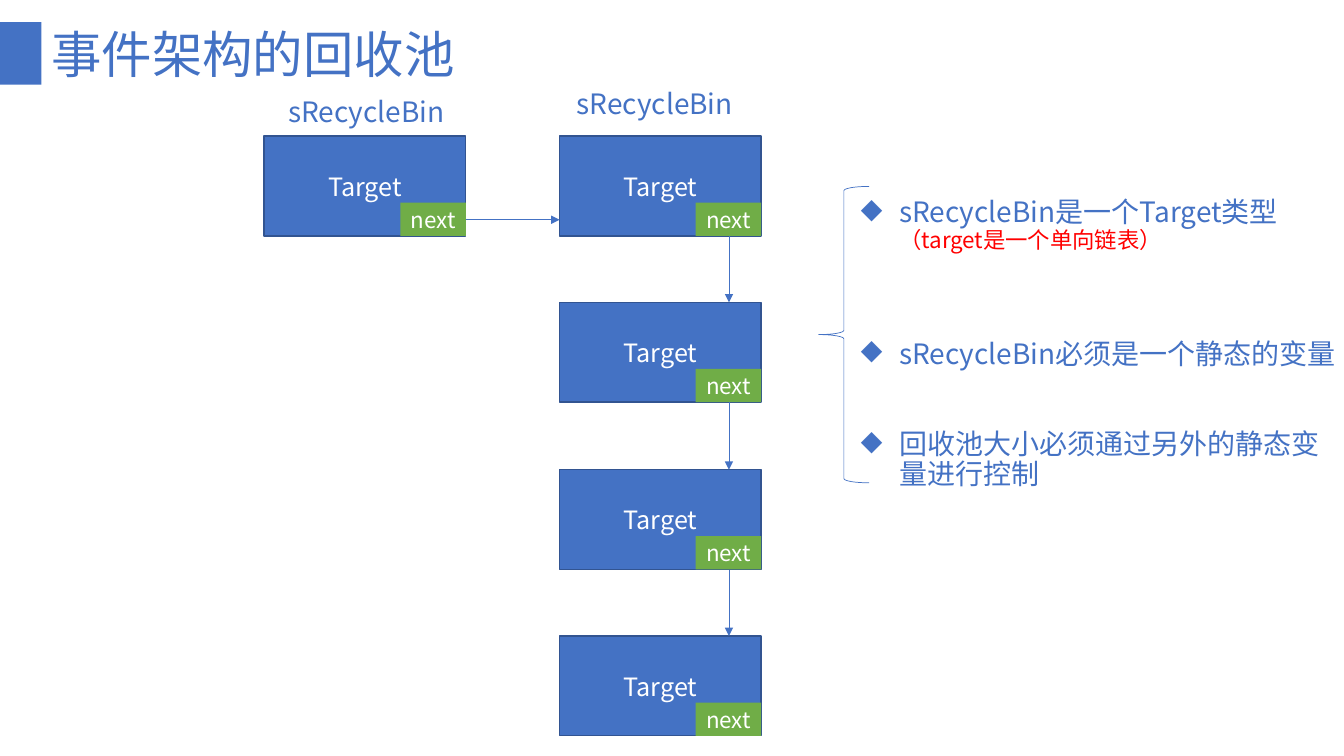
from lxml import etree
from pptx import Presentation
from pptx.dml.color import RGBColor
from pptx.enum.shapes import MSO_CONNECTOR, MSO_SHAPE
from pptx.enum.text import MSO_ANCHOR, PP_ALIGN
from pptx.oxml.ns import qn
from pptx.util import Emu, Pt

RECTANGLE = MSO_SHAPE.RECTANGLE
LEFT_BRACE = MSO_SHAPE.LEFT_BRACE
STRAIGHT = MSO_CONNECTOR.STRAIGHT
MIDDLE = MSO_ANCHOR.MIDDLE
CENTER = PP_ALIGN.CENTER
LEFT = PP_ALIGN.LEFT

EMU_PER_PX = 9144
FONT = "Noto Sans CJK SC"
COLORS = {
    "blue": "4472C4",
    "edge": "325491",
    "green": "70AD47",
    "white": "FFFFFF",
    "red": "FF0000",
}
NODE_WIDTH, NODE_HEIGHT = 200, 99
NEXT_WIDTH, NEXT_HEIGHT = 65, 33
FIRST_TOP, ROW_PITCH = 135, 165.5
BIN_LEFT, CHAIN_LEFT = 262, 555
CHAIN_LENGTH = 4
NOTES = [
    (0, [("sRecycleBin是一个Target类型", 20, "blue"),
         ("（target是一个单向链表）", 16, "red")]),
    (62, [("sRecycleBin必须是一个静态的变量", 20, "blue")]),
    (43, [("回收池大小必须通过另外的静态变量进行控制", 20, "blue")]),
]


def px(*lengths):
    return [Emu(round(length * EMU_PER_PX)) for length in lengths]


def color(name):
    return RGBColor.from_string(COLORS[name])


def apply_format(target, values):
    for name, value in values.items():
        setattr(target, name, value)


def set_line(line, name, width):
    line.color.rgb = color(name)
    line.width = Pt(width)


def add_span(para, text, size, name):
    span = para.add_run()
    span.text = text
    apply_format(span.font, {"size": Pt(size), "name": FONT})
    span.font.color.rgb = color(name)
    east_asian = etree.SubElement(span.font._element, qn("a:ea"))
    east_asian.set("typeface", FONT)


def add_bullet(para):
    indent = px(38)[0]
    properties = para._p.get_or_add_pPr()
    properties.set("marL", str(indent))
    properties.set("indent", str(-indent))
    etree.SubElement(properties, qn("a:buChar")).set("char", "◆")


def add_rectangle(page, area, fill, edge=None):
    box = page.shapes.add_shape(RECTANGLE, *px(*area))
    box.shadow.inherit = False
    box.fill.solid()
    box.fill.fore_color.rgb = color(fill)
    if edge:
        set_line(box.line, edge, 1)
    else:
        box.line.fill.background()
    return box


def add_block(page, area, text, size, fill, edge=None):
    frame = add_rectangle(page, area, fill, edge).text_frame
    apply_format(frame, {"vertical_anchor": MIDDLE, "word_wrap": True,
                         "margin_left": 0, "margin_right": 0,
                         "margin_top": 0, "margin_bottom": 0})
    para = frame.paragraphs[0]
    para.alignment = CENTER
    add_span(para, text, size, "white")


def add_text_frame(page, area):
    frame = page.shapes.add_textbox(*px(*area)).text_frame
    apply_format(frame, {"vertical_anchor": MIDDLE, "word_wrap": True})
    return frame


def add_label(page, area, text, size):
    para = add_text_frame(page, area).paragraphs[0]
    apply_format(para, {"line_spacing": 0.9, "alignment": LEFT})
    add_span(para, text, size, "blue")


def add_node(page, left, top):
    add_block(page, (left, top, NODE_WIDTH, NODE_HEIGHT), "Target", 18, "blue", "edge")
    next_area = (left + NODE_WIDTH - NEXT_WIDTH, top + NODE_HEIGHT - NEXT_HEIGHT,
                 NEXT_WIDTH, NEXT_HEIGHT)
    add_block(page, next_area, "next", 16, "green")


def add_arrow(page, start, end):
    arrow = page.shapes.add_connector(STRAIGHT, *px(*start, *end))
    set_line(arrow.line, "blue", 0.5)
    etree.SubElement(arrow.line._get_or_add_ln(), qn("a:tailEnd")).set("type", "triangle")
    etree.SubElement(arrow._element.spPr, qn("a:effectLst"))


def add_brace(page, area):
    brace = page.shapes.add_shape(LEFT_BRACE, *px(*area))
    brace.shadow.inherit = False
    brace.fill.background()
    set_line(brace.line, "blue", 0.5)


def add_notes(page, area):
    frame = add_text_frame(page, area)
    for index, (space, spans) in enumerate(NOTES):
        para = frame.add_paragraph() if index else frame.paragraphs[0]
        apply_format(para, {"line_spacing": 0.9, "space_before": Pt(space),
                            "alignment": LEFT})
        add_bullet(para)
        for text, size, name in spans:
            add_span(para, text, size, name)


def main():
    deck = Presentation()
    deck.slide_width, deck.slide_height = px(1333, 750)
    page = deck.slides.add_slide(deck.slide_layouts[6])

    add_rectangle(page, (0, 22, 41, 62), "blue")
    add_label(page, (41, 25, 625, 64), "事件架构的回收池", 36)
    add_brace(page, (812, 185, 50, 294))
    add_notes(page, (844, 147, 498, 390))

    tops = [int(FIRST_TOP + row * ROW_PITCH) for row in range(CHAIN_LENGTH)]
    add_node(page, BIN_LEFT, FIRST_TOP)
    for top in tops:
        add_node(page, CHAIN_LEFT, top)

    next_middle = FIRST_TOP + NODE_HEIGHT - NEXT_HEIGHT // 2
    add_arrow(page, (BIN_LEFT + NODE_WIDTH, next_middle), (CHAIN_LEFT, next_middle))
    next_center = CHAIN_LEFT + NODE_WIDTH - NEXT_WIDTH // 2
    for top, following in zip(tops, tops[1:]):
        add_arrow(page, (next_center, top + NODE_HEIGHT), (next_center, following))

    for left, top in ((276, 79), (562, 71)):
        add_label(page, (left, top, 186, 67), "sRecycleBin", 20)

    deck.save("out.pptx")


if __name__ == "__main__":
    main()
